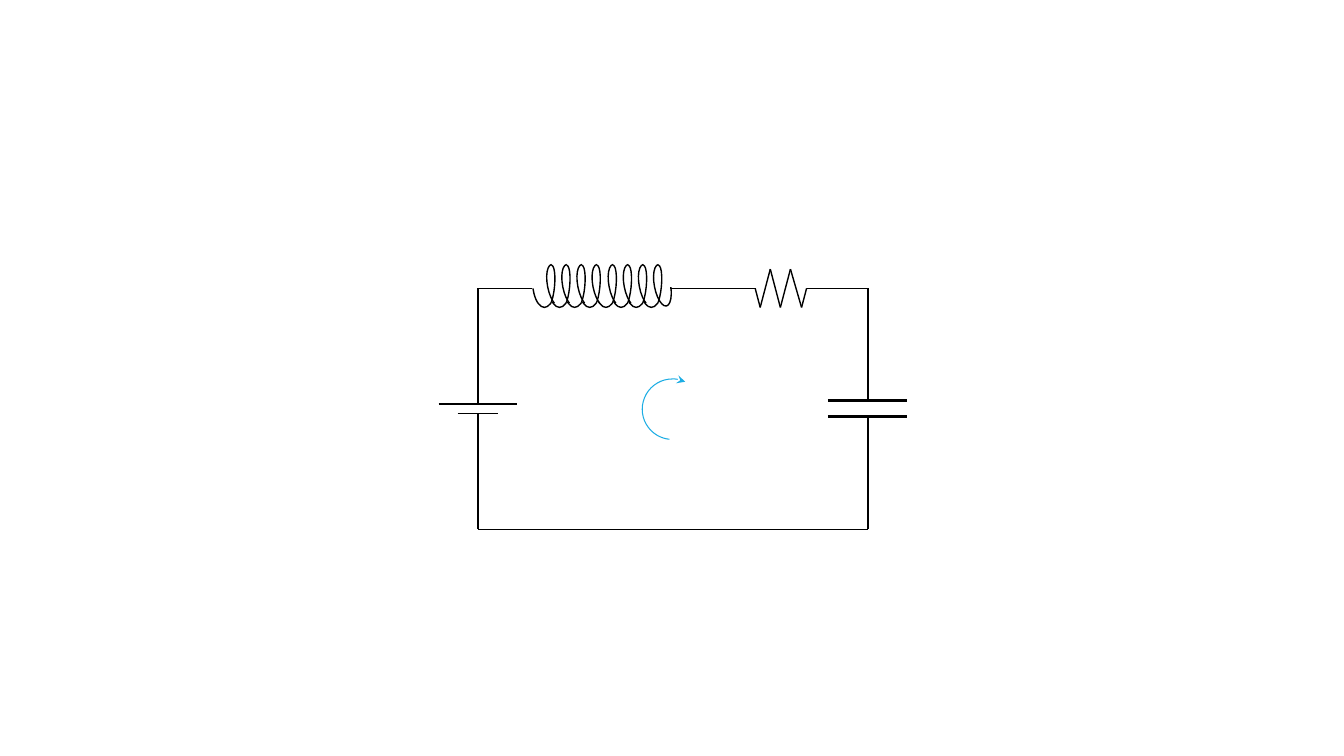
"""Build a slide showing a series circuit of battery, coil, resistor and capacitor."""
from itertools import pairwise

from lxml import etree
from pptx import Presentation
from pptx.dml.color import RGBColor
from pptx.enum.shapes import MSO_CONNECTOR, MSO_SHAPE
from pptx.oxml.ns import qn
from pptx.util import Pt

PX = 9144
STRAIGHT = MSO_CONNECTOR.STRAIGHT
ARC = MSO_SHAPE.ARC
THEME = {
    "wire": RGBColor(0x00, 0x00, 0x00),
    "current": RGBColor(0x1C, 0xAD, 0xE4),
    "wire_width": Pt(1),
    "plate_width": Pt(2.25),
    "current_width": Pt(0.75),
}

prs = Presentation()
prs.slide_width, prs.slide_height = 1333 * PX, 750 * PX
slide = prs.slides.add_slide(prs.slide_layouts[6])


def add_wire(start, end, width=THEME["wire_width"]):
    wire = slide.shapes.add_connector(STRAIGHT, *(v * PX for v in (*start, *end)))
    wire.line.color.rgb = THEME["wire"]
    wire.line.width = width
    etree.SubElement(wire._element.spPr, qn("a:effectLst"))


def add_arc(box, angles, rotation=0, flipped=False, color="wire", width="wire_width"):
    arc = slide.shapes.add_shape(ARC, *(v * PX for v in box))
    arc.adjustments[0], arc.adjustments[1] = angles
    arc.rotation = rotation
    arc.shadow.inherit = False
    arc.fill.background()
    arc.line.color.rgb = THEME[color]
    arc.line.width = THEME[width]
    if flipped:
        arc._element.spPr.find(qn("a:xfrm")).set("flipH", "1")
    return arc


left, right, top, bottom = 474, 861, 286, 525
coil_left, coil_right = 528, 665
resistor_left, resistor_right = 749, 800
battery_long, battery_short = 401, 410
capacitor_upper, capacitor_lower = 397, 413

zigzag = [(resistor_left, top), (754, 305), (764, 267), (774, 305),
          (784, 267), (795, 305), (resistor_right, top)]
wires = [
    ((right, top), (resistor_right, top)),
    ((coil_left, top), (left, top)),
    ((resistor_left, top), (coil_right, top)),
    ((left, battery_long), (left, top)),
    ((left, bottom), (left, battery_short)),
    ((right, capacitor_upper), (right, top)),
    ((right, bottom), (right, capacitor_lower)),
    ((right, bottom), (left, bottom)),
    ((435, battery_long), (513, battery_long)),
    ((454, battery_short), (494, battery_short)),
]
for start, end in [*pairwise(zigzag), *wires]:
    add_wire(start, end)
for plate in (capacitor_upper, capacitor_lower):
    add_wire((821, plate), (900, plate), THEME["plate_width"])

current = add_arc((637, 376, 60, 60), (147.13, 50.49), flipped=True,
                  color="current", width="current_width")
etree.SubElement(current.line._get_or_add_ln(), qn("a:headEnd"), type="stealth")

turns, pitch = 8, 15.15
for turn in range(turns):
    offset = round(turn * pitch)
    bottom_start = 23.33 if turn == 0 else 43.53
    right_end = 93.82 if turn == turns - 1 else 45.09
    add_arc((540 + offset, 263, 10, 42), (161.88, 46.6), rotation=5.6)
    add_arc((543 + offset, 262, 16, 42), (161.88, right_end), rotation=349.1, flipped=True)
    add_arc((coil_left + offset, 249, 24, 56), (bottom_start, 64.15), flipped=True)

prs.save("out.pptx")
